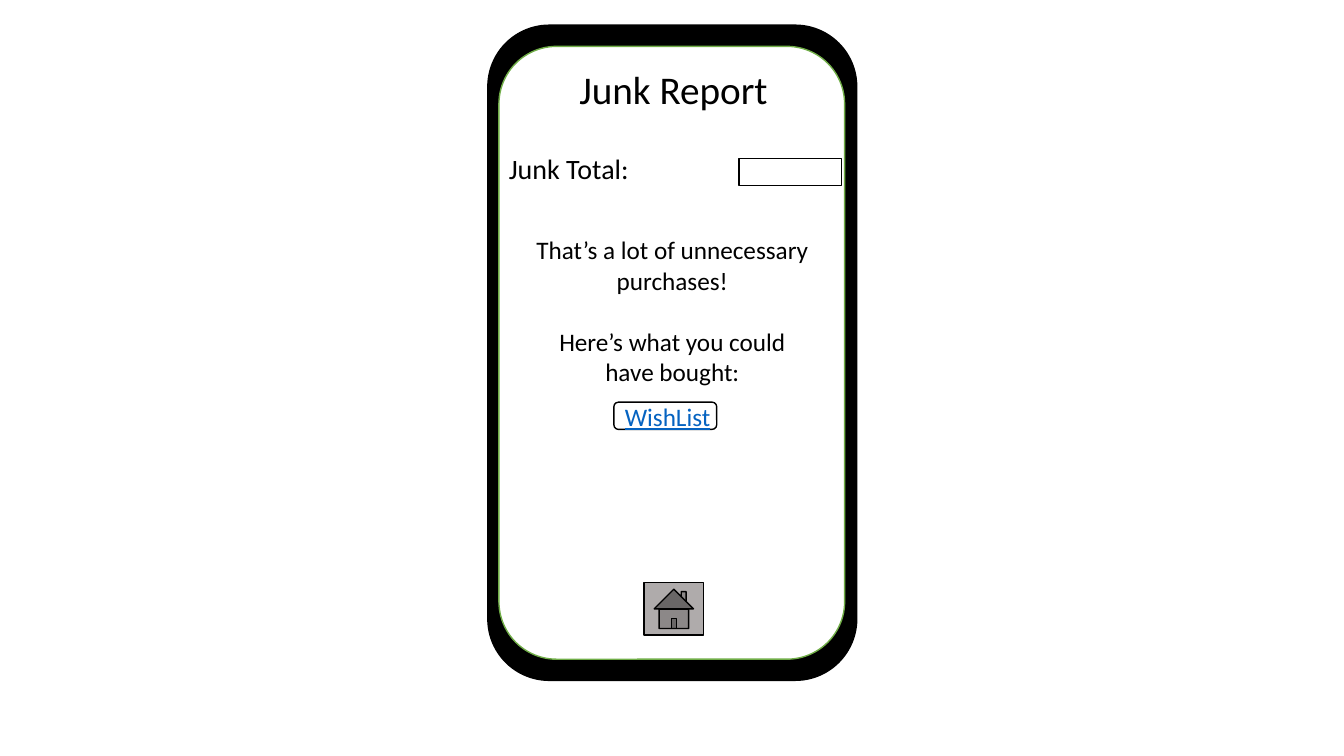
import pptx
import pptx.util
import pptx.dml.color
import pptx.enum.shapes
import pptx.enum.text

CELL = pptx.util.Pt(6)
COLUMNS, ROWS = 160, 90
PRESET = pptx.enum.shapes.MSO_SHAPE
ALIGN = pptx.enum.text.PP_ALIGN
BLACK, WHITE, GREEN, GREY, LINK = "000000", "FFFFFF", "70AD47", "AFABAB", "0563C1"


def colour(hex_string):
    return pptx.dml.color.RGBColor.from_string(hex_string)


def inside(box, left, top, width, height):
    return box[0] + left, box[1] + top, width, height


def emu(box):
    return [round(cells * CELL) for cells in box]


def add_panel(slide, preset, box, fill, outline=BLACK):
    panel = slide.shapes.add_shape(preset, *emu(box))
    panel.shadow.inherit = False
    panel.fill.solid()
    panel.fill.fore_color.rgb = colour(fill)
    panel.line.color.rgb = colour(outline)
    panel.line.width = pptx.util.Pt(1)


def add_label(slide, box, lines, size, ink=BLACK, align=ALIGN.LEFT, gap=0, wrap=True, underline=None):
    frame = slide.shapes.add_textbox(*emu(box)).text_frame
    frame.word_wrap = wrap
    frame.auto_size = pptx.enum.text.MSO_AUTO_SIZE.SHAPE_TO_FIT_TEXT
    font_format = {"name": "Calibri", "size": pptx.util.Pt(size), "underline": underline}
    for index, line in enumerate(lines):
        paragraph = frame.add_paragraph() if index else frame.paragraphs[0]
        paragraph.alignment = align
        if index:
            paragraph.space_before = pptx.util.Pt(gap)
        run = paragraph.add_run()
        run.text = line
        for attribute, value in font_format.items():
            setattr(run.font, attribute, value)
        run.font.color.rgb = colour(ink)


def add_phone(slide, box):
    screen = inside(box, 1.32, 2.52, box[2] - 2.76, box[3] - 5.04)
    add_panel(slide, PRESET.ROUNDED_RECTANGLE, box, BLACK)
    add_panel(slide, PRESET.ROUNDED_RECTANGLE, screen, WHITE, GREEN)
    return screen


def add_total(slide, box):
    add_label(slide, inside(box, 0, 0, box[2], 5.28), ["Junk Total:"], 20)
    add_panel(slide, PRESET.RECTANGLE, inside(box, 28.56, 1.44, 12.24, 3.24), WHITE)


def add_wish_list(slide, box):
    add_panel(slide, PRESET.ROUNDED_RECTANGLE, inside(box, 0, 0.72, 12.24, 3.24), WHITE)
    add_label(slide, inside(box, 0.12, 0, 13.68, 4.8), ["WishList"], 18, LINK, underline=True)


def add_junk_report(slide, box):
    screen = add_phone(slide, box)
    add_label(slide, inside(screen, 8.4, 1.68, 24.84, 6.84), ["Junk Report"], 28, wrap=False)
    add_total(slide, inside(screen, 0, 11.88, screen[2], 5.28))
    add_label(
        slide,
        inside(screen, 3.12, 21.84, 35.04, 19.44),
        ["That’s a lot of unnecessary purchases!", "Here’s what you could have bought:"],
        18,
        align=ALIGN.CENTER,
        gap=22,
    )
    add_wish_list(slide, inside(screen, 13.68, 41.64, 13.8, 4.8))
    add_panel(slide, PRESET.ACTION_BUTTON_HOME, inside(screen, 17.28, 63.84, 7.08, 6.24), GREY)


deck = pptx.Presentation()
deck.slide_width = COLUMNS * CELL
deck.slide_height = ROWS * CELL
report = deck.slides.add_slide(deck.slide_layouts[6])
add_junk_report(report, (58.08, 3, 43.92, 78))
deck.save("out.pptx")
